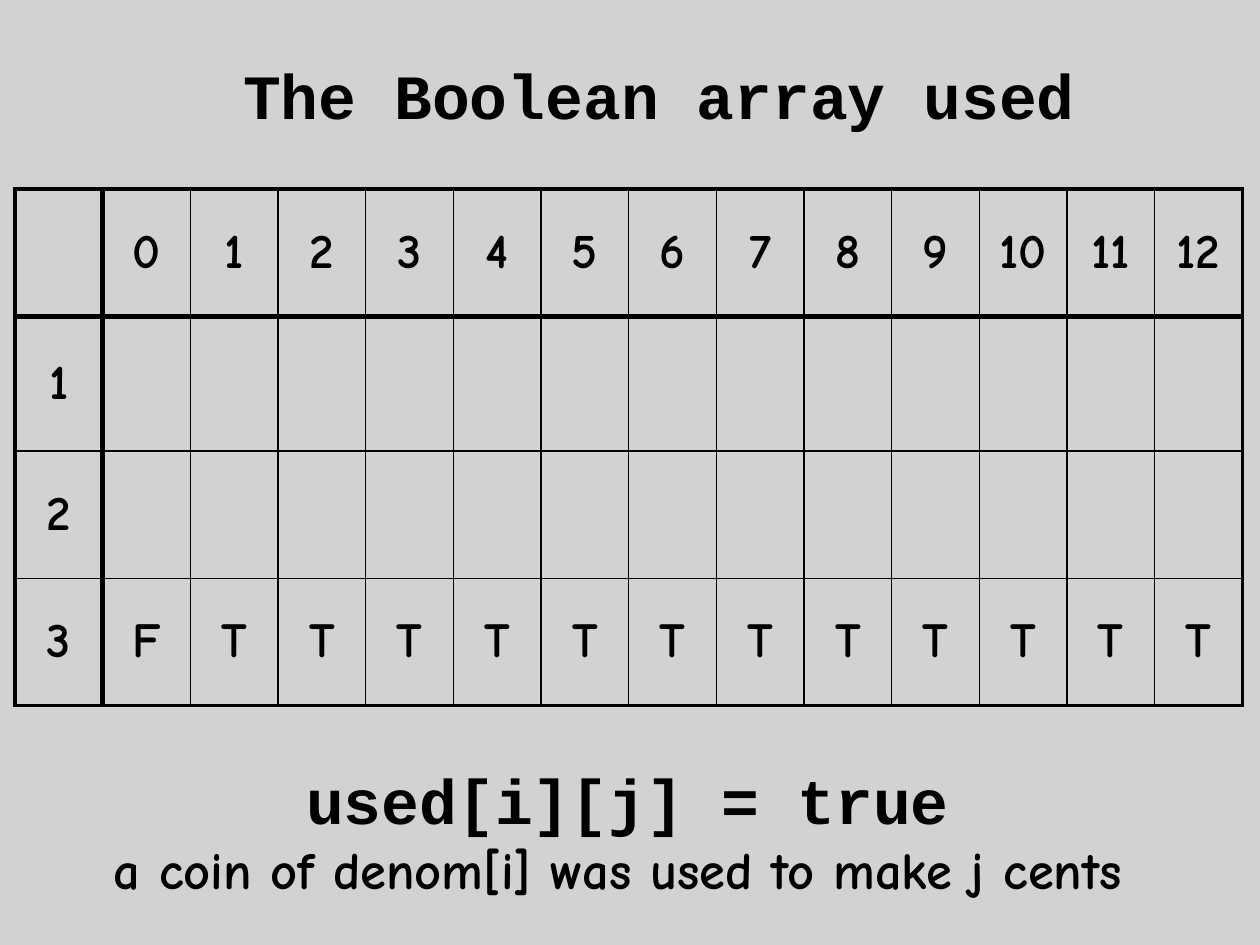
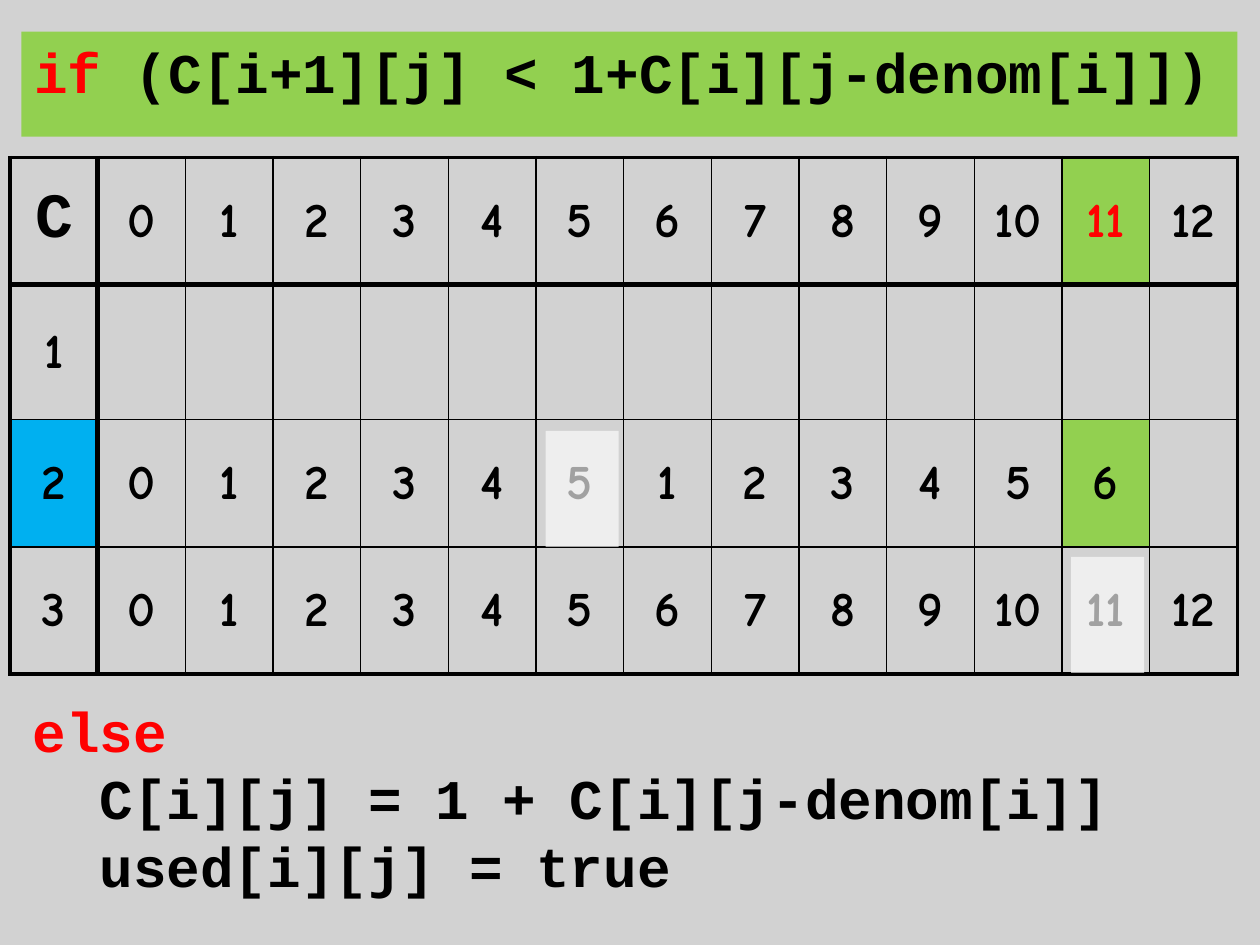
from lxml import etree
from pptx import Presentation
from pptx.dml.color import RGBColor
from pptx.enum.shapes import MSO_SHAPE as Shape
from pptx.enum.text import MSO_ANCHOR as Anchor, MSO_AUTO_SIZE as AutoSize, PP_ALIGN as Align
from pptx.oxml.ns import qn
from pptx.util import Inches, Pt

COLORS = {name: RGBColor.from_string(value) for name, value in {
    "black": "000000", "white": "FFFFFF", "veil": "C0C0C0",
    "red": "FF0000", "green": "92D050", "blue": "00B0F0"}.items()}
CODE, HAND = "Courier New", "Comic Neue"
THIN, OUTER, HEAVY = 1, 2.25, 3
ROW_HEIGHTS = [1.01, 1.07, 1.01, 1.01]
AMOUNTS = [str(cents) for cents in range(13)]


def add_pane(slide, box, color, opacity):
    """Add a borderless rectangle that lets what is behind it show through."""
    pane = slide.shapes.add_shape(Shape.RECTANGLE, *map(Inches, box))
    pane.shadow.inherit = False
    pane.line.fill.background()
    pane.fill.solid()
    pane.fill.fore_color.rgb = COLORS[color]
    tint = pane.fill._xPr.find(qn("a:solidFill"))[0]
    etree.SubElement(tint, qn("a:alpha"), val=str(opacity * 1000))
    return pane


def fill_placeholder(holder, box, lines, align=Align.LEFT):
    """Place a placeholder; each line is (runs, font, size, indent), a run (text, color)."""
    holder.left, holder.top, holder.width, holder.height = map(Inches, box)
    frame = holder.text_frame
    frame.word_wrap = True
    frame.auto_size = AutoSize.SHAPE_TO_FIT_TEXT
    frame.vertical_anchor = Anchor.TOP
    for number, (runs, font, size, indent) in enumerate(lines):
        line = frame.add_paragraph() if number else frame.paragraphs[0]
        line.alignment = align
        line.space_before = Pt(0)
        props = line._p.get_or_add_pPr()
        props.set("marL", str(Inches(indent)))
        props.set("indent", "0")
        etree.SubElement(props, qn("a:buNone"))
        line.font.name, line.font.size, line.font.bold = font, Pt(size), True
        for text, color in runs:
            run = line.add_run()
            run.text = text
            run.font.color.rgb = COLORS[color]


prs = Presentation()
prs.slide_width, prs.slide_height = Inches(10), Inches(7.5)

# Content of both slides; highlights map (row, column) to a fill
pages = [
    {"title": [("The Boolean array used", "black")],
     "title_box": (1.83, 0.4, 6.87, 0.71), "title_size": 36,
     "grid_at": (0.12, 1.5), "highlights": {},
     "rows": [["", *AMOUNTS], ["1"], ["2"], ["3", "F", *"T" * 12]],
     "body_box": (0.04, 5.99, 9.88, 1.21), "body_align": Align.CENTER,
     "body": [([("used[i][j] = true", "black")], CODE, 36, 0),
              ([("a coin of denom[i] was used to make j cents ", "black")], HAND, 30, 0)]},
    {"title": [("if ", "red"), ("(C[i+1][j] < 1+C[i][j-denom[i]])", "black")],
     "title_box": (0.17, 0.25, 9.65, 0.64), "title_size": 32, "title_fill": "green",
     "grid_at": (0.08, 1.25),
     "highlights": {(0, 12): "green", (2, 0): "blue", (2, 12): "green"},
     "rows": [["C", *AMOUNTS], ["1"], ["2", *AMOUNTS[:6], *AMOUNTS[1:7]], ["3", *AMOUNTS]],
     "body_box": (0.16, 5.48, 8.84, 1.72), "body_align": Align.LEFT,
     "body": [([("else", "red")], CODE, 32, 0),
              ([("C[i][j] = 1 + C[i][j-denom[i]]", "black")], CODE, 32, 0.53),
              ([("used[i][j] = true", "black")], CODE, 32, 0.53)]},
]

for page in pages:
    slide = prs.slides.add_slide(prs.slide_layouts[1])

    # Grey veil behind everything
    veil = add_pane(slide, (0, 0, 10, 7.5), "veil", 70)
    slide.shapes._spTree.insert(2, veil._element)

    # Title and the text below the grid
    title, body = slide.placeholders
    fill_placeholder(title, page["title_box"],
                     [(page["title"], CODE, page["title_size"], 0)])
    if "title_fill" in page:
        title.fill.solid()
        title.fill.fore_color.rgb = COLORS[page["title_fill"]]
    fill_placeholder(body, page["body_box"], page["body"], page["body_align"])

    # Grid of denominations by amounts
    left, top = page["grid_at"]
    last_row, last_col = len(ROW_HEIGHTS) - 1, len(AMOUNTS)
    grid = slide.shapes.add_table(last_row + 1, last_col + 1, Inches(left), Inches(top),
                                  Inches(9.74), Inches(sum(ROW_HEIGHTS))).table
    grid.first_row = grid.horz_banding = False
    for row, height in zip(grid.rows, ROW_HEIGHTS):
        row.height = Inches(height)
    for r, values in enumerate(page["rows"]):
        for c in range(last_col + 1):
            cell = grid.cell(r, c)
            cell.vertical_anchor = Anchor.MIDDLE
            if c < len(values) and values[c]:
                cell.text = values[c]
                entry = cell.text_frame.paragraphs[0]
                entry.alignment = Align.CENTER
                corner = values[c] == "C"
                entry.font.name = CODE if corner else HAND
                entry.font.size = Pt(36 if corner else 28)
                entry.font.bold = True
                marked_amount = r == 0 and (r, c) in page["highlights"]
                entry.font.color.rgb = COLORS["red" if marked_amount else "black"]

            # Heavy rules follow the header row and column, medium ones the outside
            borders = {
                "a:lnL": {0: OUTER, 1: HEAVY}.get(c, THIN),
                "a:lnR": {0: HEAVY, last_col: OUTER}.get(c, THIN),
                "a:lnT": {0: OUTER, 1: HEAVY}.get(r, THIN),
                "a:lnB": {0: HEAVY, last_row: OUTER}.get(r, THIN),
            }
            cell_props = cell._tc.get_or_add_tcPr()
            for tag, width in borders.items():
                edge = etree.SubElement(cell_props, qn(tag), w=str(Pt(width)))
                paint = etree.SubElement(edge, qn("a:solidFill"))
                etree.SubElement(paint, qn("a:srgbClr"), val=str(COLORS["black"]))
            if (r, c) in page["highlights"]:
                cell.fill.solid()
                cell.fill.fore_color.rgb = COLORS[page["highlights"][r, c]]
            else:
                cell.fill.background()

# Faded cells on the second slide: the two values being compared
for left, top in [(8.5, 4.42), (4.33, 3.42)]:
    add_pane(slide, (left, top, 0.58, 0.92), "white", 63)

prs.save("out.pptx")
